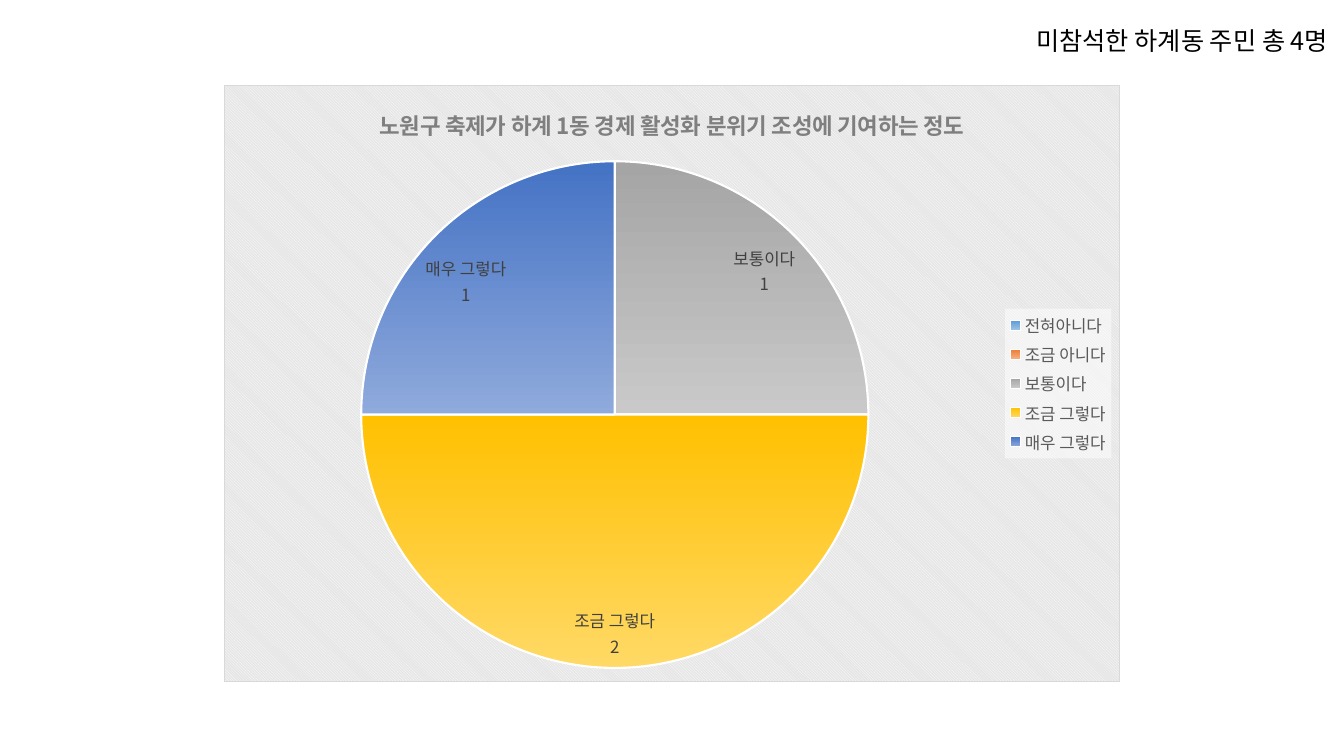
from lxml import etree
from pptx import Presentation
from pptx.chart.data import CategoryChartData
from pptx.dml.color import RGBColor
from pptx.enum.chart import XL_CHART_TYPE, XL_LABEL_POSITION, XL_LEGEND_POSITION
from pptx.enum.text import MSO_AUTO_SIZE, PP_ALIGN
from pptx.oxml import parse_xml
from pptx.oxml.ns import nsdecls, qn
from pptx.util import Inches, Pt

PIE = XL_CHART_TYPE.PIE
BEST_FIT = XL_LABEL_POSITION.BEST_FIT
LEGEND_RIGHT = XL_LEGEND_POSITION.RIGHT
FIT_SHAPE = MSO_AUTO_SIZE.SHAPE_TO_FIT_TEXT
RIGHT = PP_ALIGN.RIGHT

FONT = "Noto Sans CJK KR"
BLACK = RGBColor(0x00, 0x00, 0x00)
WHITE = RGBColor(0xFF, 0xFF, 0xFF)
TITLE_GRAY = RGBColor(0x7F, 0x7F, 0x7F)
LEGEND_GRAY = RGBColor(0x59, 0x59, 0x59)
LABEL_GRAY = RGBColor(0x40, 0x40, 0x40)
STRIPE_GRAY = RGBColor(0xE6, 0xE6, 0xE6)
BORDER_GRAY = RGBColor(0xD9, 0xD9, 0xD9)

# Answer, count, gradient top, gradient bottom
ANSWERS = [
    ("전혀아니다", None, RGBColor(0x5B, 0x9B, 0xD5), RGBColor(0x9D, 0xC3, 0xE6)),
    ("조금 아니다", None, RGBColor(0xED, 0x7D, 0x31), RGBColor(0xF4, 0xB1, 0x83)),
    ("보통이다", 1, RGBColor(0xA5, 0xA5, 0xA5), RGBColor(0xC9, 0xC9, 0xC9)),
    ("조금 그렇다", 2, RGBColor(0xFF, 0xC0, 0x00), RGBColor(0xFF, 0xD9, 0x66)),
    ("매우 그렇다", 1, RGBColor(0x44, 0x72, 0xC4), RGBColor(0x8F, 0xAA, 0xDC)),
]


class SlideBuilder:
    def __init__(self, s, font_name):
        self.s = s
        self.font_name = font_name

    def style(self, font, size, color, bold=False):
        values = {"name": self.font_name, "size": Pt(size), "bold": bold}
        for name, value in values.items():
            setattr(font, name, value)
        font.color.rgb = color
        latin = font._element.find(qn("a:latin")) if hasattr(font, "_element") else font._rPr.find(qn("a:latin"))
        latin.addnext(parse_xml(f'<a:ea {nsdecls("a")} typeface="{self.font_name}"/>'))

    def text(self, box, text, size, color):
        sp = self.s.shapes.add_textbox(*map(Inches, box))
        tf = sp.text_frame
        tf.word_wrap = False
        tf.auto_size = FIT_SHAPE
        p = tf.paragraphs[0]
        p.alignment = RIGHT
        r = p.add_run()
        r.text = text
        self.style(r.font, size, color)

    def pie(self, box, title, answers):
        data = CategoryChartData()
        data.categories = [answer[0] for answer in answers]
        data.add_series("Series 1", [answer[1] for answer in answers])
        chart = self.s.shapes.add_chart(PIE, *map(Inches, box), data).chart
        self.style(chart.font, 10, BLACK)
        chart.has_title = True
        r = chart.chart_title.text_frame.paragraphs[0].add_run()
        r.text = title
        self.style(r.font, 16, TITLE_GRAY, bold=True)
        plot = chart.plots[0]
        plot.vary_by_categories = True
        self.slices(plot.series[0], answers)
        self.labels(plot.series[0].data_labels)
        self.legend(chart)
        self.background(chart)

    def slices(self, series, answers):
        for i, (_, _, top, bottom) in enumerate(answers):
            fmt = series.points[i].format
            fmt.fill.gradient()
            fmt.fill.gradient_angle = 270
            for stop, position, color in zip(fmt.fill.gradient_stops, (0, 1), (top, bottom)):
                stop.position = position
                stop.color.rgb = color
            fmt.line.color.rgb = WHITE
            fmt.line.width = Pt(1.5)

    def labels(self, labels):
        values = {"show_category_name": True, "show_value": True,
                  "show_percentage": False, "position": BEST_FIT}
        for name, value in values.items():
            setattr(labels, name, value)
        self.style(labels.font, 12, LABEL_GRAY)
        dLbls = labels._element
        separator = etree.Element(qn("c:separator"))
        separator.text = "\n"
        last_flag = dLbls.find(qn("c:showBubbleSize"))
        if last_flag is None:
            last_flag = dLbls.find(qn("c:showPercent"))
        last_flag.addnext(separator)

    def legend(self, chart):
        chart.has_legend = True
        legend = chart.legend
        legend.position = LEGEND_RIGHT
        legend.include_in_layout = False
        self.style(legend.font, 12, LEGEND_GRAY)
        legend._element.find(qn("c:txPr")).addprevious(parse_xml(
            f'<c:spPr {nsdecls("c", "a")}><a:solidFill><a:srgbClr val="{WHITE}">'
            '<a:alpha val="50000"/></a:srgbClr></a:solidFill></c:spPr>'))

    def background(self, chart):
        chart._chartSpace.find(qn("c:chart")).addnext(parse_xml(
            f'<c:spPr {nsdecls("c", "a")}><a:pattFill prst="dkDnDiag">'
            f'<a:fgClr><a:srgbClr val="{WHITE}"/></a:fgClr>'
            f'<a:bgClr><a:srgbClr val="{STRIPE_GRAY}"/></a:bgClr></a:pattFill>'
            f'<a:ln w="{Pt(0.75)}"><a:solidFill><a:srgbClr val="{BORDER_GRAY}"/>'
            '</a:solidFill></a:ln></c:spPr>'))


def main():
    prs = Presentation()
    prs.slide_width, prs.slide_height = Inches(13.33), Inches(7.5)
    s = prs.slides.add_slide(prs.slide_layouts[6])
    builder = SlideBuilder(s, FONT)
    builder.pie((2.22, 0.84, 8.89, 5.93),
                "노원구 축제가 하계 1동 경제 활성화 분위기 조성에 기여하는 정도", ANSWERS)
    builder.text((9.8, 0.2, 3.47, 0.4), "미참석한 하계동 주민 총 4명", 18, BLACK)
    prs.save("out.pptx")


if __name__ == "__main__":
    main()
